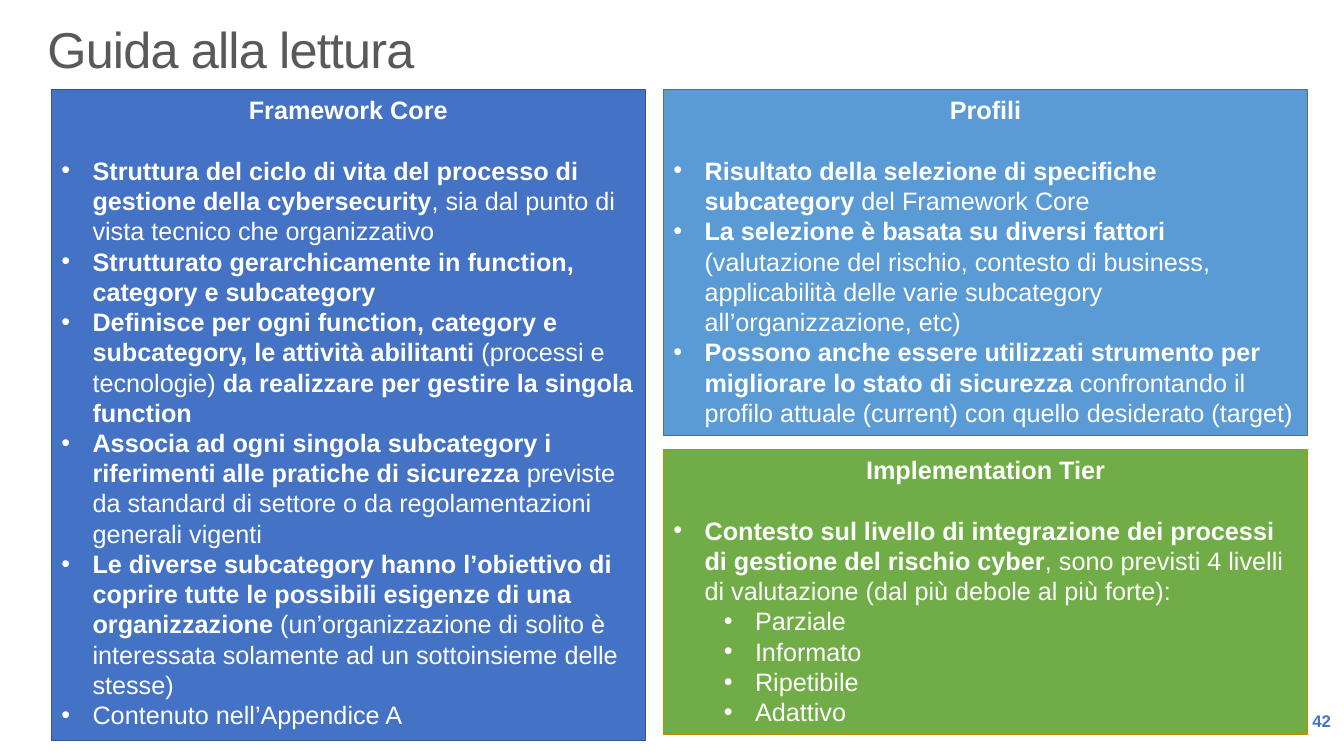
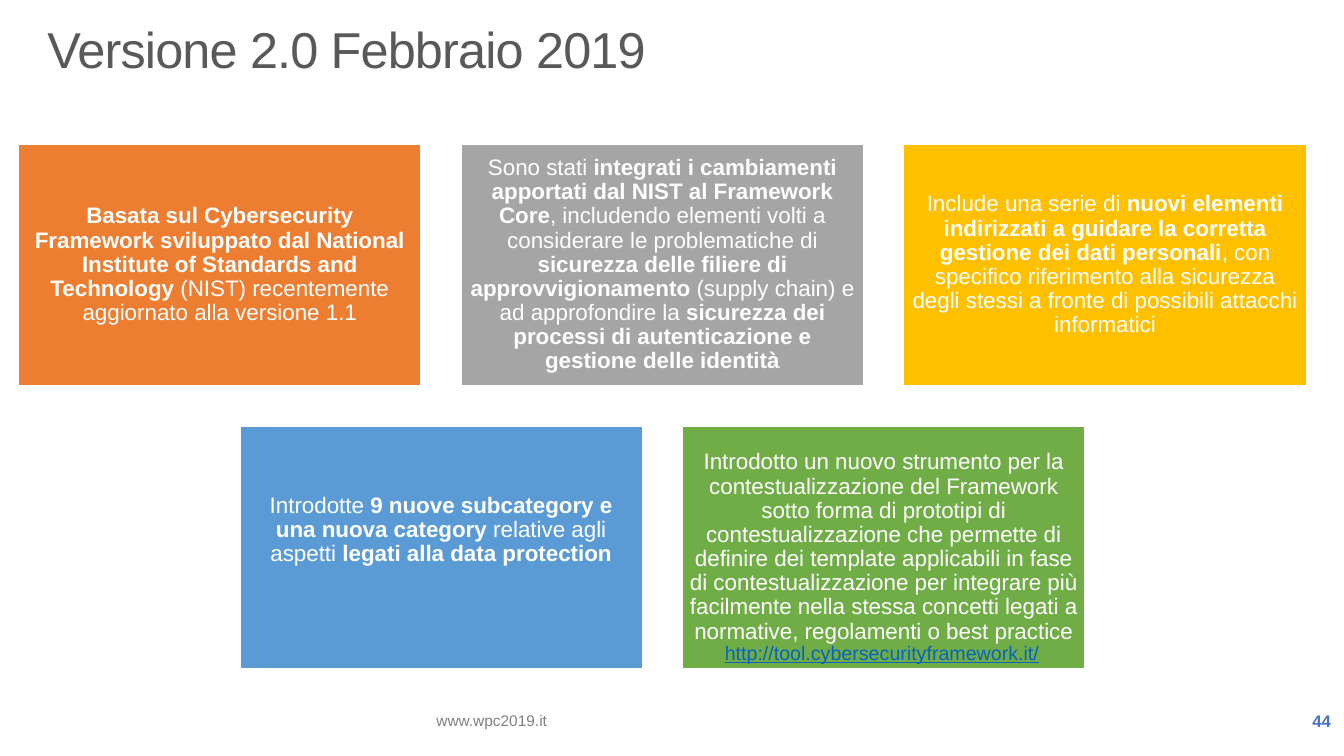
from dataclasses import dataclass

from lxml import etree
from pptx import Presentation
from pptx.dml.color import RGBColor
from pptx.enum.shapes import MSO_SHAPE
from pptx.enum.text import MSO_ANCHOR as Anchor, MSO_AUTO_SIZE as AutoSize, PP_ALIGN as Align
from pptx.oxml.ns import qn
from pptx.util import Inches, Pt


@dataclass(frozen=True)
class Theme:
    font: str = "Arial"
    white: str = "FFFFFF"
    title: str = "595959"
    footer: str = "808080"
    link: str = "0563C1"
    blue: str = "4472C4"
    light_blue: str = "5B9BD5"
    green: str = "70AD47"
    orange: str = "ED7D31"
    gray: str = "A5A5A5"
    yellow: str = "FFC000"
    blue_edge: str = "325491"
    green_edge: str = "538035"
    gold_edge: str = "BD8E00"
    title_size: int = 36
    panel_size: int = 18
    card_size: int = 16
    link_size: int = 14
    number_size: int = 12
    footer_size: int = 11
    edge_width: float = 0.85


theme = Theme()


def write(paragraph, text, size, color=theme.white, align=Align.LEFT, bullet_indent=None,
          line_spacing=None, space_after=0, underline=False):
    """Write text in which **double asterisks** enclose the bold parts."""
    paragraph.alignment = align
    paragraph.space_after = Pt(space_after)
    if line_spacing:
        paragraph.line_spacing = line_spacing
    if bullet_indent is not None:
        properties = paragraph._p.get_or_add_pPr()
        properties.set("marL", str(Inches(bullet_indent)))
        properties.set("indent", str(Inches(-0.31)))
        etree.SubElement(properties, qn("a:buFont")).set("typeface", theme.font)
        etree.SubElement(properties, qn("a:buChar")).set("char", "•")
    for index, part in enumerate(text.split("**")):
        if part:
            run = paragraph.add_run()
            run.text = part
            run.font.name = theme.font
            run.font.size = Pt(size)
            run.font.bold = index % 2 == 1
            run.font.underline = underline
            run.font.color.rgb = RGBColor.from_string(color)


def add_box(slide, left, top, width, height, fill=None, edge=None, anchor=Anchor.TOP):
    """Add a filled rectangle, or a plain text box when there is no fill."""
    place = [Inches(length) for length in (left, top, width, height)]
    if fill:
        shape = slide.shapes.add_shape(MSO_SHAPE.RECTANGLE, *place)
        shape.shadow.inherit = False
        shape.fill.solid()
        shape.fill.fore_color.rgb = RGBColor.from_string(fill)
        shape.line.color.rgb = RGBColor.from_string(edge)
        shape.line.width = Pt(theme.edge_width)
    else:
        shape = slide.shapes.add_textbox(*place)
    shape.text_frame.word_wrap = True
    shape.text_frame.vertical_anchor = anchor
    return shape


presentation = Presentation()
presentation.slide_width = Inches(13.33)
presentation.slide_height = Inches(7.5)

# Title and slide number
slides = []
for title_text, number in (("Guida alla lettura", 42), ("Versione 2.0 Febbraio 2019", 44)):
    slide = presentation.slides.add_slide(presentation.slide_layouts[5])
    slides.append(slide)
    title = slide.shapes.title
    title.left, title.top = Inches(0.37), Inches(0.2)
    title.width, title.height = Inches(12.6), Inches(0.91)
    title.text_frame.auto_size = AutoSize.NONE
    title.text_frame.vertical_anchor = Anchor.TOP
    paragraph = title.text_frame.paragraphs[0]
    write(paragraph, title_text, theme.title_size, color=theme.title, line_spacing=0.9)
    paragraph.runs[0].font._element.set("spc", "-60")
    number_box = add_box(slide, 11.63, 6.95, 1.67, 0.4, anchor=Anchor.MIDDLE)
    write(number_box.text_frame.paragraphs[0], f"**{number}**", theme.number_size,
          color=theme.blue, align=Align.RIGHT)

guide, version = slides

# Reading guide: each bullet is (level, text)
panels = [
    ((0.51, 0.89, 5.89, 6.46), theme.blue, theme.blue_edge, "Framework Core", [
        (0, "**Struttura del ciclo di vita del processo di gestione della cybersecurity**, "
            "sia dal punto di vista tecnico che organizzativo"),
        (0, "**Strutturato gerarchicamente in function, category e subcategory**"),
        (0, "**Definisce per ogni function, category e subcategory, le attività abilitanti** "
            "(processi e tecnologie) **da realizzare per gestire la singola function**"),
        (0, "**Associa ad ogni singola subcategory i riferimenti alle pratiche di sicurezza** "
            "previste da standard di settore o da regolamentazioni generali vigenti"),
        (0, "**Le diverse subcategory hanno l’obiettivo di coprire tutte le possibili esigenze "
            "di una organizzazione** (un’organizzazione di solito è interessata solamente "
            "ad un sottoinsieme delle stesse)"),
        (0, "Contenuto nell’Appendice A"),
    ]),
    ((6.58, 0.89, 6.39, 3.43), theme.light_blue, theme.green_edge, "Profili", [
        (0, "**Risultato della selezione di specifiche subcategory** del Framework Core"),
        (0, "**La selezione è basata su diversi fattori** (valutazione del rischio, contesto di "
            "business, applicabilità delle varie subcategory all’organizzazione, etc)"),
        (0, "**Possono anche essere utilizzati strumento per migliorare lo stato di sicurezza** "
            "confrontando il profilo attuale (current) con quello desiderato (target)"),
    ]),
    ((6.58, 4.46, 6.39, 2.83), theme.green, theme.gold_edge, "Implementation Tier", [
        (0, "**Contesto sul livello di integrazione dei processi di gestione del rischio cyber**, "
            "sono previsti 4 livelli di valutazione (dal più debole al più forte):"),
        (1, "Parziale"),
        (1, "Informato"),
        (1, "Ripetibile"),
        (1, "Adattivo"),
    ]),
]
for place, fill, edge, heading, bullets in panels:
    frame = add_box(guide, *place, fill=fill, edge=edge).text_frame
    write(frame.paragraphs[0], f"**{heading}**", theme.panel_size, align=Align.CENTER,
          space_after=21.6)
    for level, text in bullets:
        paragraph = frame.add_paragraph()
        paragraph.level = level
        write(paragraph, text, theme.panel_size, bullet_indent=0.31 + 0.5 * level)

# Version 2.0: rows of cards, each row centred on the same axis
card_width, card_height, card_gap = 3.99, 2.4, 0.4
rows_top, rows_center = 1.43, 6.57
card_rows = [
    [
        (theme.orange, "**Basata sul Cybersecurity Framework sviluppato dal National Institute of "
                       "Standards and Technology** (NIST) recentemente aggiornato alla versione 1.1"),
        (theme.gray, "Sono stati **integrati i cambiamenti apportati dal NIST al Framework Core**, "
                     "includendo elementi volti a considerare le problematiche di **sicurezza delle "
                     "filiere di approvvigionamento** (supply chain) e ad approfondire la "
                     "**sicurezza dei processi di autenticazione e gestione delle identità**"),
        (theme.yellow, "Include una serie di **nuovi elementi indirizzati a guidare la corretta "
                       "gestione dei dati personali**, con specifico riferimento alla sicurezza "
                       "degli stessi a fronte di possibili attacchi informatici"),
    ],
    [
        (theme.light_blue, "Introdotte **9 nuove subcategory e una nuova category** relative agli "
                           "aspetti **legati alla data protection**"),
        (theme.green, "Introdotto un nuovo strumento per la contestualizzazione del Framework sotto "
                      "forma di prototipi di contestualizzazione che permette di definire dei "
                      "template applicabili in fase di contestualizzazione per integrare più "
                      "facilmente nella stessa concetti legati a normative, regolamenti o best "
                      "practice"),
    ],
]
for row, cards in enumerate(card_rows):
    row_width = len(cards) * (card_width + card_gap) - card_gap
    for column, (fill, text) in enumerate(cards):
        left = rows_center - row_width / 2 + column * (card_width + card_gap)
        top = rows_top + row * (card_height + card_gap)
        frame = add_box(version, left, top, card_width, card_height, fill=fill,
                        edge=theme.white, anchor=Anchor.MIDDLE).text_frame
        frame.margin_left = frame.margin_right = Inches(0.07)
        frame.margin_top = Inches(0.07)
        frame.margin_bottom = Inches(0.41 if fill == theme.light_blue else 0.07)
        write(frame.paragraphs[0], text, theme.card_size, align=Align.CENTER, line_spacing=0.9)

link_box = add_box(version, 7.09, 6.31, 3.39, 0.34)
write(link_box.text_frame.paragraphs[0], "http://tool.cybersecurityframework.it/",
      theme.link_size, color=theme.link, underline=True)
footer_box = add_box(version, 4.23, 6.95, 6.46, 0.4, anchor=Anchor.MIDDLE)
write(footer_box.text_frame.paragraphs[0], "www.wpc2019.it", theme.footer_size,
      color=theme.footer)

presentation.save("out.pptx")
